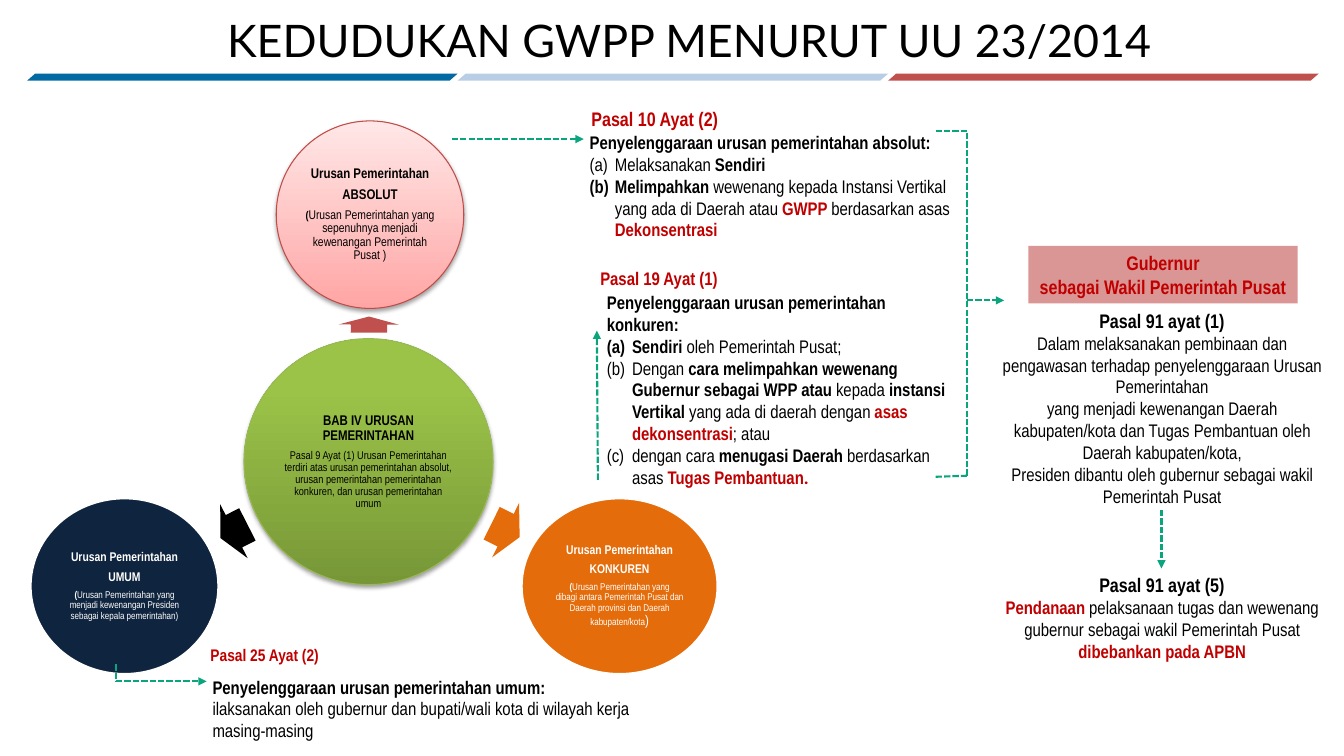
from lxml.etree import SubElement
from pptx import Presentation
from pptx.dml.color import RGBColor
from pptx.enum.dml import MSO_LINE
from pptx.enum.shapes import MSO_CONNECTOR, MSO_SHAPE as Shape
from pptx.enum.text import MSO_ANCHOR as Anchor, MSO_AUTO_SIZE as AutoSize, PP_ALIGN as Align
from pptx.oxml.ns import qn
from pptx.util import Inches, Pt

CELL = Inches(0.1)
INK, RED_INK, WHITE, TEAL = "000000", "C00000", "FFFFFF", "0BA57D"
BOLD = {"bold": True}
PLAIN = {"bold": False}
RED = {"bold": True, "color": RED_INK}


def color(value):
    return RGBColor.from_string(value)


def cells(*values):
    return [round(value * CELL) for value in values]


def child(parent, tag, **attributes):
    return SubElement(parent, qn(tag), {key: str(value) for key, value in attributes.items()})


class Page:
    font = "Arial Narrow"

    def __init__(self, deck):
        self.slide = deck.slides.add_slide(deck.slide_layouts[5])
        self.shapes = self.slide.shapes

    def fill_text(self, box, paragraphs, base, align=Align.LEFT, anchor=Anchor.MIDDLE,
                  inset=(1, 0.5), numbered=False, spacing=None, wrap=True):
        frame = box.text_frame
        across, down = cells(*inset)
        layout = {"word_wrap": wrap, "vertical_anchor": anchor, "auto_size": AutoSize.NONE,
                  "margin_left": across, "margin_right": across,
                  "margin_top": down, "margin_bottom": down}
        for key, value in layout.items():
            setattr(frame, key, value)
        for index, spans in enumerate(paragraphs):
            para = frame.paragraphs[0] if index == 0 else frame.add_paragraph()
            for key, value in {"alignment": align, **(spacing or {})}.items():
                setattr(para, key, value)
            if numbered and index:
                properties = para._p.get_or_add_pPr()
                indent = Inches(0.25)
                properties.set("marL", str(indent))
                properties.set("indent", str(-indent))
                child(properties, "a:buAutoNum", type="alphaLcParenBoth")
            for text, override in spans:
                self.span(para, text, {"name": self.font, "color": INK, **base, **override})

    def span(self, para, text, style):
        for index, line in enumerate(text.split("\n")):
            if index:
                para.add_line_break()
            span = para.add_run()
            span.text = line
            values = {"name": style["name"], "size": Pt(style["size"]), "bold": style["bold"]}
            for key, value in values.items():
                setattr(span.font, key, value)
            span.font.color.rgb = color(style["color"])

    def title(self, text, place, size):
        box = self.shapes.title
        for key, value in zip(("left", "top", "width", "height"), cells(*place)):
            setattr(box, key, value)
        self.fill_text(box, [[(text, {})]], {"name": "Lato", "size": size, "bold": False},
                       Align.CENTER, inset=(1.3, 0.7))

    def text(self, place, paragraphs, size=13, **options):
        box = self.shapes.add_textbox(*cells(*place))
        self.fill_text(box, paragraphs, {"size": size, "bold": True}, **options)

    def heading(self, place, text, size):
        self.text(place, [[(text, RED)]], size, align=Align.CENTER, anchor=Anchor.TOP, wrap=False)

    def shape(self, kind, place, fill, adjust=(), turn=0):
        shape = self.shapes.add_shape(kind, *cells(*place))
        shape.shadow.inherit = False
        shape.fill.solid()
        shape.fill.fore_color.rgb = color(fill)
        shape.line.fill.background()
        shape.rotation = turn
        for index, value in enumerate(adjust):
            shape.adjustments[index] = value
        return shape

    def circle(self, place, fill, outline, weight, paragraphs, size, ink=INK, glow=None):
        circle = self.shape(Shape.OVAL, place, fill)
        circle.line.color.rgb = color(outline)
        circle.line.width = Pt(weight)
        if glow:
            self.shade(circle, fill, *glow)
        self.fill_text(circle, paragraphs, {"size": size, "bold": True, "color": ink},
                       Align.CENTER, inset=(0.1, 0.1),
                       spacing={"line_spacing": 0.9, "space_after": Pt(4)})

    def shade(self, shape, low, high, reach):
        shape.fill.gradient()
        shape.fill.gradient_angle = 90
        for stop, tone, position in zip(shape.fill.gradient_stops, (low, high), (0, reach)):
            stop.color.rgb = color(tone)
            stop.position = position
        effects = shape._element.spPr.find(qn("a:effectLst"))
        shadow = child(effects, "a:outerShdw", blurRad=Pt(3.1), dist=Pt(1.8), dir=5400000,
                       rotWithShape=0)
        child(child(shadow, "a:srgbClr", val=INK), "a:alpha", val=36000)

    def line(self, start, end, arrow=False):
        line = self.shapes.add_connector(MSO_CONNECTOR.STRAIGHT, *cells(*start, *end))
        line.line.color.rgb = color(TEAL)
        line.line.width = Pt(1.5)
        line.line.dash_style = MSO_LINE.SQUARE_DOT
        if arrow:
            child(line.line._get_or_add_ln(), "a:tailEnd", type="triangle")
        child(line._element.spPr, "a:effectLst")


def draw_circles(page):
    page.circle((24.2, 33.6, 24.7, 24.4), "779737", "98B955", 0.75, [
        [("BAB IV URUSAN PEMERINTAHAN", BOLD)],
        [("Pasal 9 Ayat (1) Urusan Pemerintahan terdiri atas urusan pemerintahan absolut, "
          "urusan pemerintahan pemerintahan konkuren, dan urusan pemerintahan umum",
          {**PLAIN, "size": 8})],
    ], 10, glow=("9BC348", 0.8))
    page.circle((27.4, 12, 18.6, 18.6), "FFA6A5", "BF4C48", 0.75, [
        [("Urusan Pemerintahan", BOLD)],
        [("ABSOLUT", BOLD)],
        [("(", {"size": 8}),
         ("Urusan Pemerintahan yang\nsepenuhnya menjadi kewenangan Pemerintah Pusat )",
          {**PLAIN, "size": 9})],
    ], 10, glow=("FFE7E7", 1))
    small = {**PLAIN, "size": 7}
    page.circle((51.7, 49.4, 19.5, 17.5), "E46C0A", WHITE, 2, [
        [("Urusan Pemerintahan", BOLD)],
        [("KONKUREN", BOLD)],
        [("(", {"size": 7}),
         ("Urusan Pemerintahan yang\ndibagi antara Pemerintah Pusat dan Daerah provinsi "
          "dan Daerah kabupaten/kota", small),
         (")", {**PLAIN, "size": 10})],
    ], 9, WHITE)
    page.circle((3, 49.4, 18.7, 17.5), "0F243E", WHITE, 2, [
        [("Urusan Pemerintahan", BOLD)],
        [("UMUM", BOLD)],
        [("(", {"size": 7}),
         ("Urusan Pemerintahan yang\nmenjadi kewenangan Presiden sebagai kepala pemerintahan)",
          small)],
    ], 9, WHITE)
    for place, fill, turn in (((35.8, 29.2, 1.6, 6), "C0504D", 270.3),
                              ((48.6, 49.6, 3.1, 6), "E46C0A", 26.3),
                              ((21.7, 49.7, 3, 6), INK, 153)):
        page.shape(Shape.RIGHT_ARROW, place, fill, (0.6, 0.5), turn)


def draw_articles(page):
    page.text((57.5, 13.6, 38.2, 9.7), [
        [("Penyelenggaraan urusan pemerintahan absolut:", BOLD)],
        [("Melaksanakan ", PLAIN), ("Sendiri", BOLD)],
        [("Melimpahkan", BOLD),
         (" wewenang kepada Instansi Vertikal yang ada di Daerah atau ", PLAIN),
         ("GWPP ", RED), ("berdasarkan asas ", PLAIN), ("Dekonsentrasi", RED)],
    ], numbered=True)
    page.text((59.2, 29.7, 36.5, 17.9), [
        [("Penyelenggaraan urusan pemerintahan konkuren:", BOLD)],
        [("Sendiri", BOLD), (" oleh Pemerintah Pusat;", PLAIN)],
        [("Dengan ", PLAIN), ("cara melimpahkan wewenang Gubernur sebagai WPP atau", BOLD),
         (" kepada ", PLAIN), ("instansi Vertikal ", BOLD),
         ("yang ada di daerah dengan ", PLAIN), ("asas dekonsentrasi", RED), ("; atau", PLAIN)],
        [("dengan cara ", PLAIN), ("menugasi Daerah ", BOLD), ("berdasarkan asas ", PLAIN),
         ("Tugas Pembantuan", RED), (".", {**RED, "name": "Calibri"})],
    ], numbered=True)
    page.text((20.1, 66.6, 44.3, 7.4), [
        [("Penyelenggaraan urusan pemerintahan umum:", BOLD)],
        [("ilaksanakan oleh gubernur dan bupati/wali kota di wilayah kerja masing-masing", PLAIN)],
    ])
    page.heading((57.6, 10.1, 14.7, 3.4), "Pasal 10 Ayat (2)", 14)
    page.heading((58.5, 26, 13.7, 3.2), "Pasal 19 Ayat (1)", 13)
    page.heading((19.8, 63.5, 12.9, 3), "Pasal 25 Ayat (2)", 12)


def draw_governor(page):
    label = page.shape(Shape.RECTANGLE, (102, 24.4, 26.7, 5.7), "D99694")
    page.fill_text(label, [[("Gubernur", RED)], [("sebagai Wakil Pemerintah Pusat", RED)]],
                   {"size": 14}, Align.CENTER, Anchor.TOP, wrap=False)
    page.text((97.7, 32.6, 35.1, 15.7), [
        [("Pasal 91 ayat (1)", {"size": 14})],
        [("Dalam melaksanakan pembinaan dan pengawasan terhadap penyelenggaraan Urusan "
          "Pemerintahan\nyang menjadi kewenangan Daerah kabupaten/kota dan Tugas Pembantuan oleh "
          "Daerah kabupaten/kota,\nPresiden dibantu oleh gubernur sebagai wakil Pemerintah Pusat",
          PLAIN)],
    ], align=Align.CENTER)
    page.text((97.7, 57.7, 35.1, 7.1), [
        [("Pasal 91 ayat (5)", {"size": 14})],
        [("Pendanaan", RED),
         (" pelaksanaan tugas dan wewenang gubernur sebagai wakil Pemerintah Pusat ", PLAIN),
         ("dibebankan pada APBN", RED)],
    ], align=Align.CENTER)


def draw_lines(page):
    for start, end in (((11.5, 65.9), (11.5, 67.6)), ((92.8, 13), (95.9, 13)),
                       ((92.8, 47.3), (95.9, 47.2)), ((95.9, 47.2), (95.9, 13))):
        page.line(start, end)
    for start, end in (((44.8, 13.8), (57.9, 13.8)), ((59.3, 47.6), (59.2, 32.8)),
                       ((11.5, 67.6), (20.5, 67.6)), ((95.9, 29.8), (99.6, 29.8)),
                       ((115.2, 50.6), (115.2, 56.4))):
        page.line(start, end, arrow=True)


def main():
    deck = Presentation()
    deck.slide_width, deck.slide_height = Inches(13.33), Inches(7.5)
    page = Page(deck)
    page.title("KEDUDUKAN GWPP MENURUT UU 23/2014", (3.5, 0, 129.8, 7.8), 32)
    for index, fill in enumerate(("016AA3", "B9CDE5", "C0504D")):
        page.shape(Shape.PARALLELOGRAM, (2.7 + 42.7 * index, 7.3, 42.7, 0.7), fill, (1.14,))
    draw_circles(page)
    draw_articles(page)
    draw_governor(page)
    draw_lines(page)
    deck.save("out.pptx")


if __name__ == "__main__":
    main()
